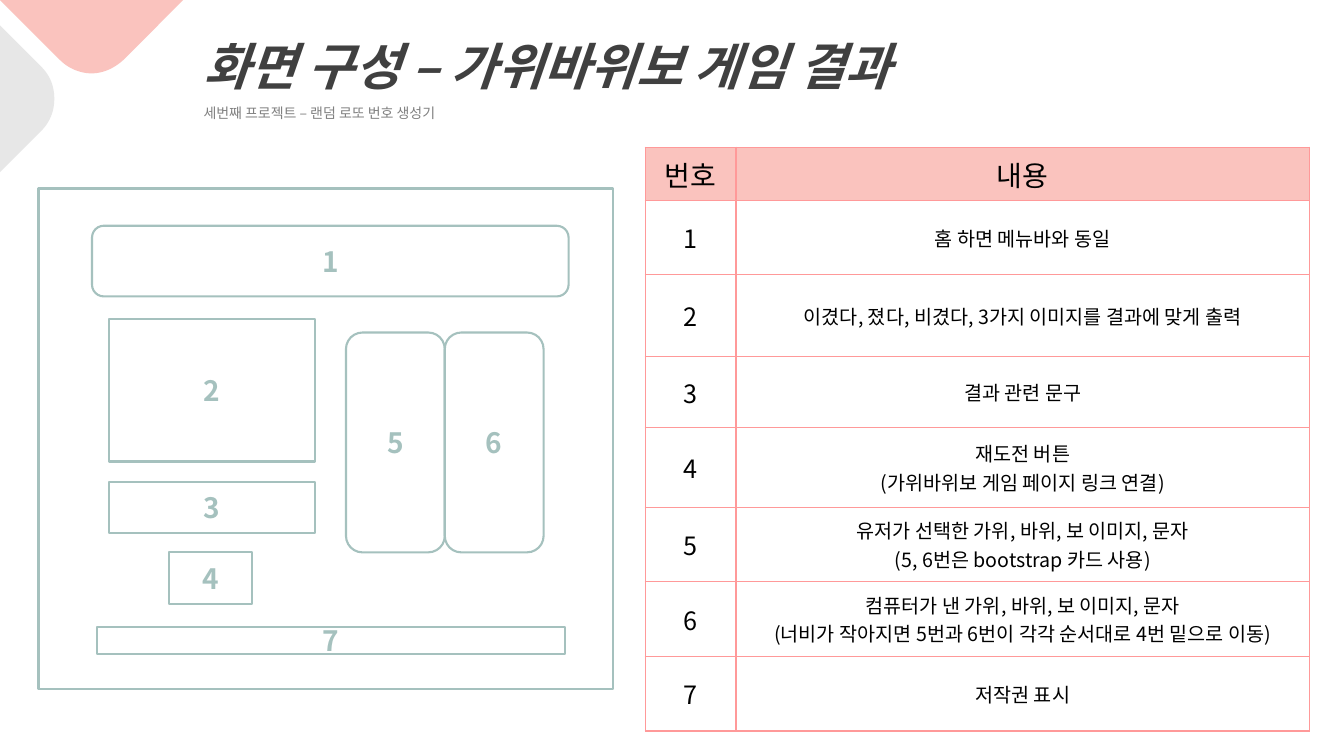
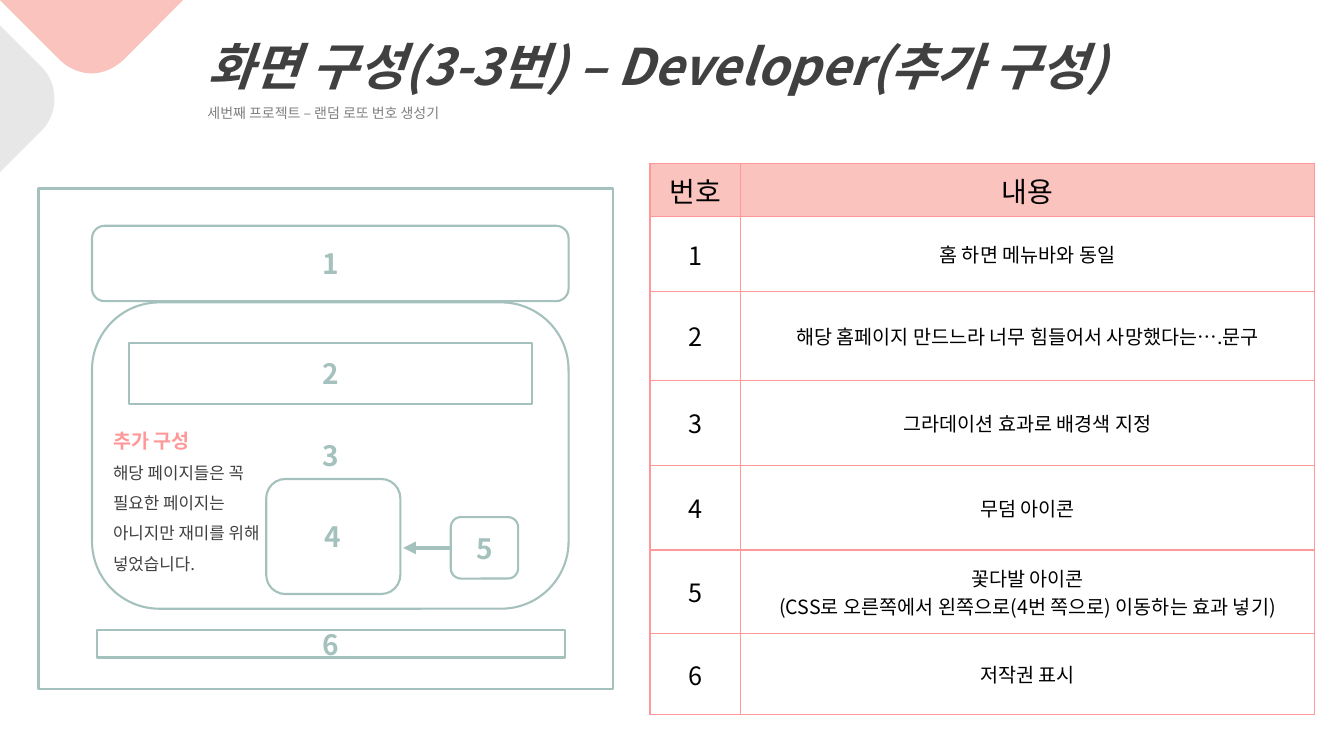
from lxml.etree import SubElement
from pptx import Presentation
from pptx.dml.color import RGBColor
from pptx.enum.shapes import MSO_CONNECTOR, MSO_SHAPE
from pptx.enum.text import MSO_ANCHOR, MSO_AUTO_SIZE, PP_ALIGN
from pptx.oxml import parse_xml
from pptx.oxml.ns import nsdecls, qn
from pptx.util import Cm, Pt

FONT = "Noto Sans CJK KR"
PINK = RGBColor(0xFA, 0xC3, 0xBE)
ROSE = RGBColor(0xFF, 0x99, 0x99)
SAGE = RGBColor(0xA5, 0xC1, 0xBE)
PALE = RGBColor(0xE7, 0xE7, 0xE7)
GRAY = RGBColor(0x80, 0x80, 0x80)
DARK = RGBColor(0x40, 0x40, 0x40)
BLACK = RGBColor(0, 0, 0)
WHITE = RGBColor(0xFF, 0xFF, 0xFF)

RECT = MSO_SHAPE.RECTANGLE
ROUND = MSO_SHAPE.ROUNDED_RECTANGLE
FRAME = (0.97, 4.75, 14.48, 12.62)
COLUMNS = (2.29, 14.45)
SUBTITLE = "세번째 프로젝트 – 랜덤 로또 번호 생성기"


def style_paragraph(paragraph, size, color, bold=False, italic=False):
    font = paragraph.font
    font.name = FONT
    font.size = Pt(size)
    font.bold = bold
    font.italic = italic
    font.color.rgb = color
    properties = paragraph._p.get_or_add_pPr().get_or_add_defRPr()
    SubElement(properties, qn("a:ea"), typeface=FONT)


def add_text(slide, box, paragraphs):
    shape = slide.shapes.add_textbox(*map(Cm, box))
    frame = shape.text_frame
    frame.word_wrap = True
    frame.auto_size = MSO_AUTO_SIZE.SHAPE_TO_FIT_TEXT
    frame.text = "\n".join(text for text, *_ in paragraphs)
    for paragraph, (_, *style) in zip(frame.paragraphs, paragraphs):
        paragraph.line_spacing = 1.5
        style_paragraph(paragraph, *style)


def curve_points(start, first, second, end, steps=12):
    for step in range(1, steps + 1):
        t = step / steps
        weights = ((1 - t) ** 3, 3 * t * (1 - t) ** 2, 3 * t * t * (1 - t), t ** 3)
        yield tuple(sum(weight * point[axis] for weight, point
                        in zip(weights, (start, first, second, end)))
                    for axis in (0, 1))


def add_corner(slide, color, start, shoulder, curves, last):
    points = [shoulder]
    for curve in curves:
        points.extend(curve_points(points[-1], *curve))
    points.append(last)
    builder = slide.shapes.build_freeform(*map(Cm, start))
    builder.add_line_segments([(Cm(x), Cm(y)) for x, y in points], close=True)
    shape = builder.convert_to_shape()
    shape.shadow.inherit = False
    shape.fill.solid()
    shape.fill.fore_color.rgb = color
    shape.line.fill.background()


def add_header(slide, box, title):
    add_corner(slide, PINK, (0, 0), (1.52, 1.52),
               [((1.73, 1.73), (2.03, 1.85), (2.31, 1.85)),
                ((2.59, 1.85), (2.87, 1.73), (3.1, 1.52))], (4.62, 0))
    add_corner(slide, PALE, (0, 0.64), (1.04, 1.68),
               [((1.27, 1.91), (1.37, 2.18), (1.37, 2.49)),
                ((1.37, 2.79), (1.27, 3.07), (1.04, 3.3))], (0, 4.34))
    add_text(slide, box, [(title, 36, DARK, True, True), (SUBTITLE, 10, GRAY)])


def add_outline(slide, kind, box, label="", corner=None):
    shape = slide.shapes.add_shape(kind, *map(Cm, box))
    shape.shadow.inherit = False
    shape.fill.background()
    shape.line.color.rgb = SAGE
    shape.line.width = Pt(1.5)
    if corner is not None:
        shape.adjustments[0] = corner
    if label:
        shape.text_frame.text = label
        paragraph = shape.text_frame.paragraphs[0]
        paragraph.alignment = PP_ALIGN.CENTER
        style_paragraph(paragraph, 20, SAGE, True)
    return shape


def add_wireframe(slide, box, parts):
    left, top = box[:2]
    add_outline(slide, RECT, box)
    return {label: add_outline(slide, kind, (left + x, top + y, width, height), label, *corner)
            for label, kind, x, y, width, height, *corner in parts}


def add_left_arrow(slide, source, end_x):
    middle = source.top + source.height // 2
    arrow = slide.shapes.add_connector(MSO_CONNECTOR.STRAIGHT, source.left, middle,
                                       Cm(end_x), middle)
    arrow.begin_connect(source, 1)
    arrow.line.color.rgb = SAGE
    arrow.line.width = Pt(3)
    SubElement(arrow.line._get_or_add_ln(), qn("a:tailEnd"), type="triangle")
    SubElement(arrow._element.spPr, qn("a:effectLst"))


def fill_cell(cell, text, size, color):
    cell.text = text
    cell.vertical_anchor = MSO_ANCHOR.MIDDLE
    cell.fill.solid()
    cell.fill.fore_color.rgb = color
    for paragraph in cell.text_frame.paragraphs:
        paragraph.alignment = PP_ALIGN.CENTER
        style_paragraph(paragraph, size, BLACK)
    properties = cell._tc.get_or_add_tcPr()
    for index, side in enumerate("LRTB"):
        properties.insert(index, parse_xml(
            f'<a:ln{side} {nsdecls("a")} w="12700"><a:solidFill>'
            f'<a:srgbClr val="{ROSE}"/></a:solidFill></a:ln{side}>'))


def add_description_table(slide, left, top, heights, descriptions):
    shape = slide.shapes.add_table(len(heights), len(COLUMNS), Cm(left), Cm(top),
                                   Cm(sum(COLUMNS)), Cm(sum(heights)))
    table = shape.table
    table.first_row = False
    table.horz_banding = False
    for column, width in zip(table.columns, COLUMNS):
        column.width = Cm(width)
    for row, height in zip(table.rows, heights):
        row.height = Cm(height)
    for column, heading in enumerate(("번호", "내용")):
        fill_cell(table.cell(0, column), heading, 20, PINK)
    for number, description in enumerate(descriptions, 1):
        fill_cell(table.cell(number, 0), str(number), 18, WHITE)
        fill_cell(table.cell(number, 1), description, 14, WHITE)


def build_result_slide(slide):
    add_header(slide, (4.88, 0, 22.86, 3.12), "화면 구성 – 가위바위보 게임 결과")
    add_description_table(
        slide, 16.26, 3.71, (1.35, 1.85, 2.08, 1.78, 2.01, 1.88, 1.88, 1.88),
        ("홈 하면 메뉴바와 동일",
         "이겼다, 졌다, 비겼다, 3가지 이미지를 결과에 맞게 출력",
         "결과 관련 문구",
         "재도전 버튼\n(가위바위보 게임 페이지 링크 연결)",
         "유저가 선택한 가위, 바위, 보 이미지, 문자\n(5, 6번은 bootstrap 카드 사용)",
         "컴퓨터가 낸 가위, 바위, 보 이미지, 문자\n"
         "(너비가 작아지면 5번과 6번이 각각 순서대로 4번 밑으로 이동)",
         "저작권 표시"))
    add_wireframe(slide, FRAME, (
        ("1", ROUND, 1.35, 0.94, 12.01, 1.78),
        ("2", RECT, 1.78, 3.3, 5.18, 3.58),
        ("3", RECT, 1.78, 7.39, 5.18, 1.3),
        ("4", RECT, 3.3, 9.17, 2.08, 1.3),
        ("5", ROUND, 7.75, 3.63, 2.49, 5.54),
        ("6", ROUND, 10.24, 3.63, 2.49, 5.54),
        ("7", RECT, 1.47, 11.05, 11.79, 0.69)))


def build_developer_slide(slide):
    add_header(slide, (4.98, 0, 25.2, 3.12), "화면 구성(3-3번) – Developer(추가 구성)")
    add_description_table(
        slide, 16.38, 4.11, (1.35, 1.88, 2.24, 2.14, 2.14, 2.11, 2.03),
        ("홈 하면 메뉴바와 동일",
         "해당 홈페이지 만드느라 너무 힘들어서 사망했다는….문구",
         "그라데이션 효과로 배경색 지정",
         "무덤 아이콘",
         "꽃다발 아이콘\n(CSS로 오른쪽에서 왼쪽으로(4번 쪽으로) 이동하는 효과 넣기)",
         "저작권 표시"))
    left, top = FRAME[:2]
    add_text(slide, (left + 1.63, top + 5.64, 4.34, 4.14), [
        ("추가 구성", 14, ROSE, True),
        ("해당 페이지들은 꼭 필요한 페이지는 아니지만 재미를 위해 넣었습니다.", 12, DARK)])
    parts = add_wireframe(slide, FRAME, (
        ("1", ROUND, 1.35, 0.94, 12.01, 1.9),
        ("2", RECT, 2.29, 3.89, 10.16, 1.55),
        ("3", ROUND, 1.35, 2.87, 12.01, 7.72, 0.22),
        ("4", ROUND, 5.74, 7.32, 3.38, 2.9),
        ("5", ROUND, 10.39, 8.28, 1.7, 1.55),
        ("6", RECT, 1.47, 11.13, 11.79, 0.69)))
    add_left_arrow(slide, parts["5"], left + 9.19)


def main():
    presentation = Presentation()
    presentation.slide_width = Cm(33.87)
    presentation.slide_height = Cm(19.05)
    for build in (build_result_slide, build_developer_slide):
        build(presentation.slides.add_slide(presentation.slide_layouts[6]))
    presentation.save("out.pptx")


if __name__ == "__main__":
    main()
